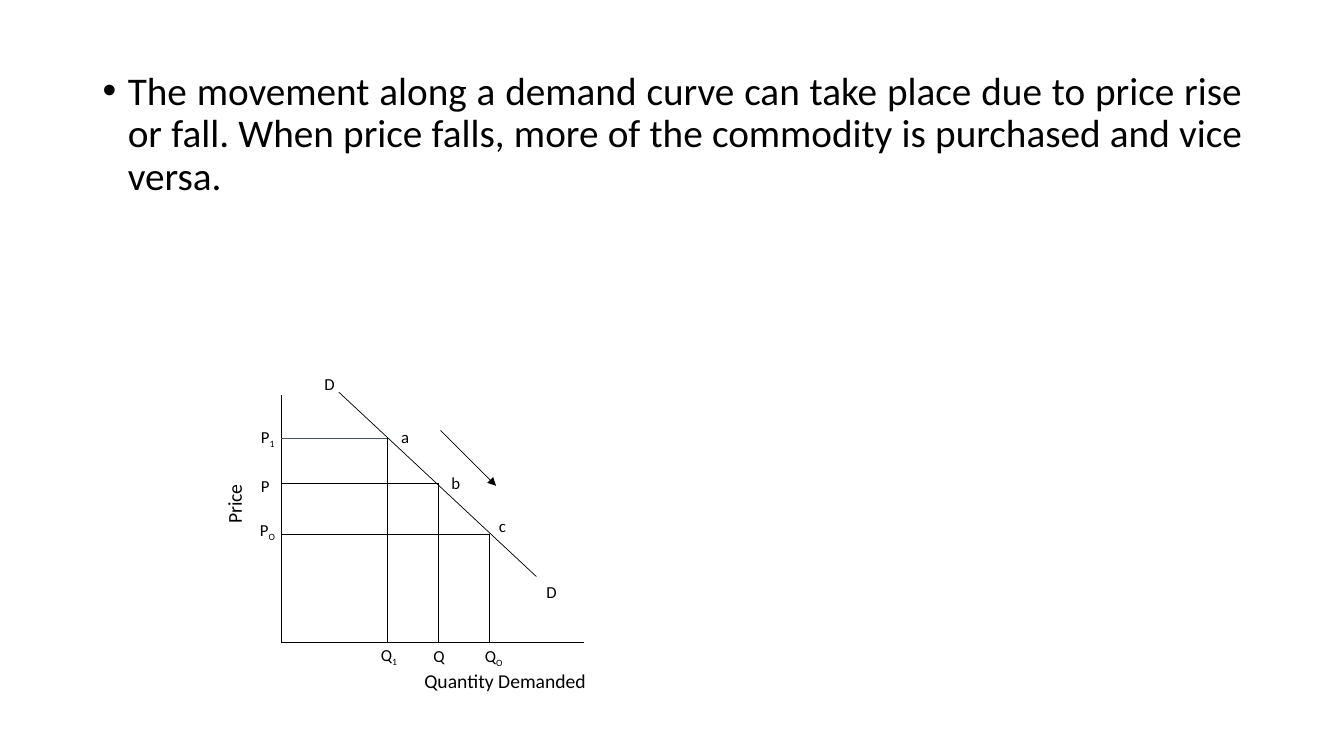
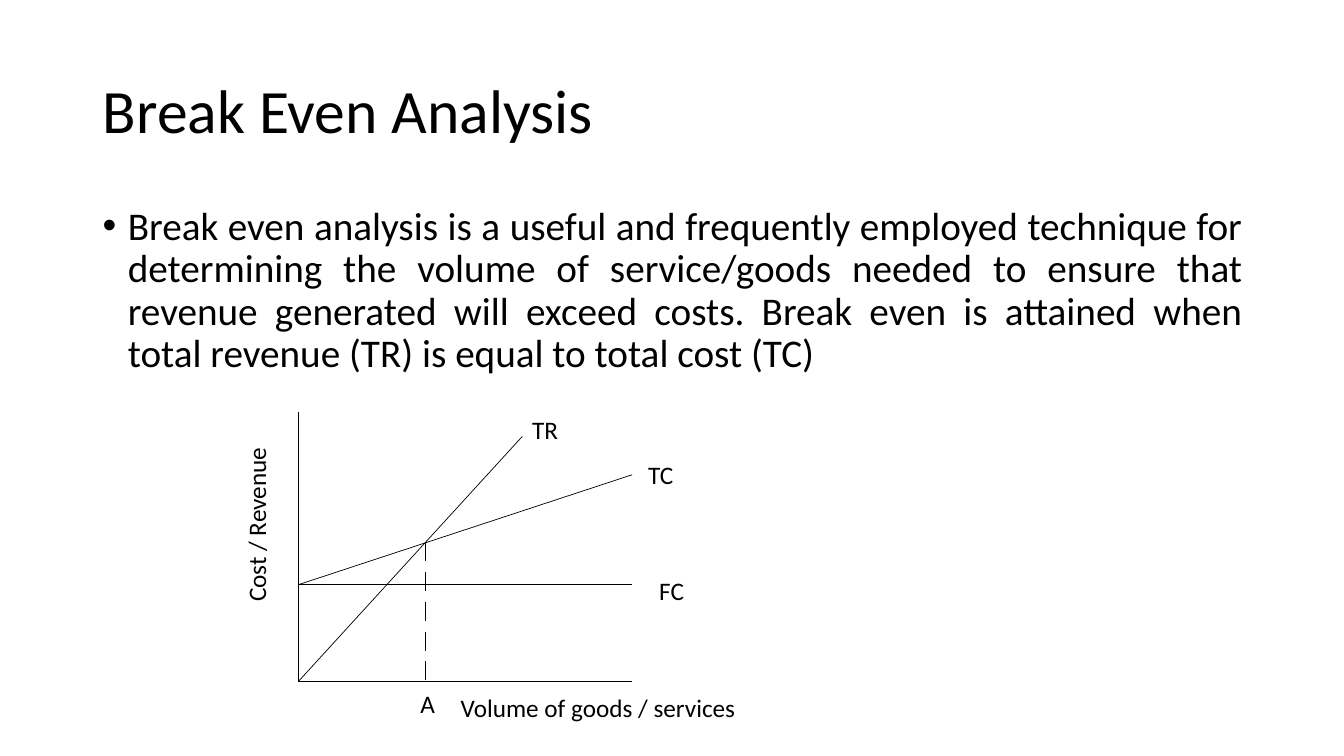
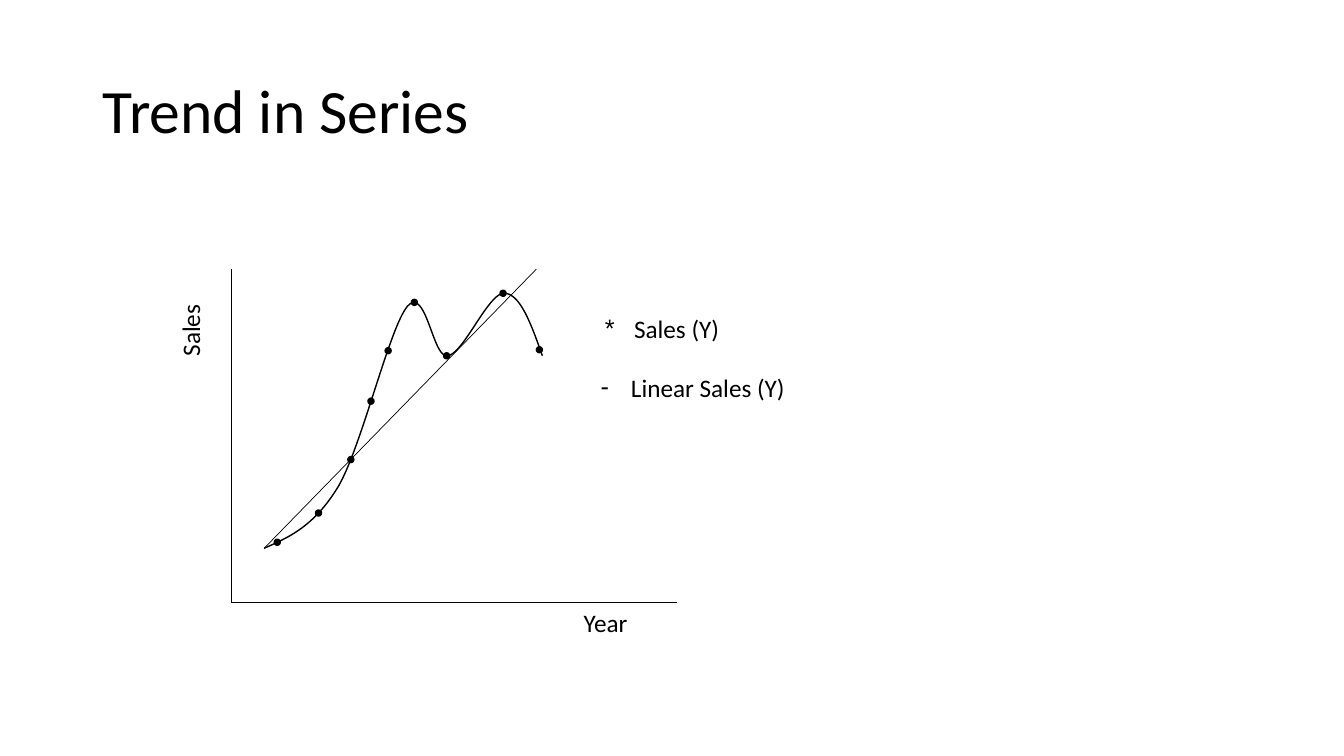
import pptx
import pptx.dml.color
import pptx.enum.shapes
import pptx.enum.text
import pptx.oxml
import pptx.oxml.ns
import pptx.util

Inches = pptx.util.Inches
Pt = pptx.util.Pt
ALIGN = pptx.enum.text.PP_ALIGN
ANCHOR = pptx.enum.text.MSO_ANCHOR
AUTO_SIZE = pptx.enum.text.MSO_AUTO_SIZE
RGB = pptx.dml.color.RGBColor.from_string

COLORS = {"ink": "000000", "slate": "44546A"}
FONT = "Calibri"
NS = pptx.oxml.ns.nsdecls("a")

TITLE_BOX = (0.92, 0.4, 11.5, 1.45)
TITLE_STYLE = dict(size=44, spacing=0.9, anchor=ANCHOR.MIDDLE)
BODY_STYLE = dict(size=28, align=ALIGN.JUSTIFY, spacing=0.9, before=10,
                  bullet="•", hanging=0.25)


def add_text(slide, text, box, holder=None, size=18, align=ALIGN.LEFT, anchor=ANCHOR.TOP,
             spacing=None, before=0, bullet=None, hanging=0, turn=0):
    """Write text into holder or a new text box; "_" sets what follows as subscript."""
    left, top, width, height = map(Inches, box)
    shape = holder or slide.shapes.add_textbox(left, top, width, height)
    shape.left, shape.top, shape.width, shape.height = left, top, width, height
    shape.rotation = turn
    frame = shape.text_frame
    frame.word_wrap = True
    frame.auto_size = AUTO_SIZE.NONE
    frame.vertical_anchor = anchor
    paragraph = frame.paragraphs[0]
    paragraph.alignment = align
    paragraph.space_before = Pt(before)
    if spacing:
        paragraph.line_spacing = spacing
    if bullet:
        properties = paragraph._p.get_or_add_pPr()
        properties.set("marL", str(Inches(hanging)))
        properties.set("indent", str(-Inches(hanging)))
        properties.append(pptx.oxml.parse_xml(f'<a:buFont {NS} typeface="Arial"/>'))
        properties.append(pptx.oxml.parse_xml(f'<a:buChar {NS} char="{bullet}"/>'))
    for position, part in enumerate(text.split("_")):
        run = paragraph.add_run()
        run.text = part
        run.font.name = FONT
        run.font.size = Pt(size)
        run.font.color.rgb = RGB(COLORS["ink"])
        if position:
            run.font._element.set("baseline", "-25000")


def draw_line(slide, start, end, color="ink", arrow=False):
    line = slide.shapes.add_connector(
        pptx.enum.shapes.MSO_CONNECTOR.STRAIGHT, *map(Inches, start + end))
    line.line.color.rgb = RGB(COLORS[color])
    line.line.width = Pt(0.5)
    if arrow:
        line.line._get_or_add_ln().append(
            pptx.oxml.parse_xml(f'<a:tailEnd {NS} type="triangle"/>'))
    line._element.spPr.append(pptx.oxml.parse_xml(f"<a:effectLst {NS}/>"))


deck = pptx.Presentation()
deck.slide_width, deck.slide_height = Inches(13.33), Inches(7.5)
title_only, blank = deck.slide_layouts[5], deck.slide_layouts[6]

# Movement along the demand curve
demand = deck.slides.add_slide(blank)
add_text(demand, "The movement along a demand curve can take place due to price rise or fall. "
         "When price falls, more of the commodity is purchased and vice versa.",
         (0.92, 0.66, 11.5, 5.69), **BODY_STYLE)

price_axis, quantity_axis = 2.79, 6.37
draw_line(demand, (price_axis, 3.92), (price_axis, quantity_axis))
draw_line(demand, (price_axis, quantity_axis), (5.79, quantity_axis))
draw_line(demand, (3.36, 3.89), (5.32, 5.72))
draw_line(demand, (4.37, 4.27), (4.92, 4.82), arrow=True)
for quantity, price, price_color in [(3.84, 4.35, "slate"), (4.35, 4.8, "ink"), (4.85, 5.3, "ink")]:
    draw_line(demand, (quantity, price), (quantity, quantity_axis))
    draw_line(demand, (quantity, price), (price_axis, price), color=price_color)

for label, left, top in [
    ("D", 3.12, 3.66), ("D", 5.32, 5.72),
    ("Q_1", 3.68, 6.35), ("Q", 4.2, 6.36), ("Q_O", 4.71, 6.36),
    ("P_1", 2.49, 4.18), ("P", 2.49, 4.67), ("P_O", 2.48, 5.11),
    ("a", 3.88, 4.18), ("b", 4.38, 4.64), ("c", 4.85, 5.07),
]:
    add_text(demand, label, (left, top, 0.46, 0.37), size=12)
add_text(demand, "Quantity Demanded", (4.11, 6.59, 2.35, 0.4), size=14)
add_text(demand, "Price", (2.02, 4.76, 0.67, 0.4), size=14, turn=270)

# Break even analysis
break_even = deck.slides.add_slide(title_only)
add_text(break_even, "Break Even Analysis", TITLE_BOX,
         holder=break_even.shapes.title, **TITLE_STYLE)
add_text(break_even, "Break even analysis is a useful and frequently employed technique for "
         "determining the volume of service/goods needed to ensure that revenue generated will "
         "exceed costs. Break even is attained when total revenue (TR) is equal to total cost (TC)",
         (0.92, 2, 11.5, 4.76), **BODY_STYLE)

cost_axis, volume_axis, fixed_cost, chart_right = 2.96, 6.76, 5.8, 6.27
for start, end in [
    ((cost_axis, 4.09), (cost_axis, volume_axis)),
    ((cost_axis, volume_axis), (chart_right, volume_axis)),
    ((cost_axis, volume_axis), (5.18, 4.33)),
    ((cost_axis, fixed_cost), (chart_right, 4.71)),
    ((cost_axis, fixed_cost), (chart_right, fixed_cost)),
]:
    draw_line(break_even, start, end)
for dash in range(5):
    dash_top = 5.38 + dash * 0.295
    draw_line(break_even, (4.22, dash_top), (4.22, dash_top + 0.19))

for label, left, top in [("TR", 5.18, 4.06), ("TC", 6.33, 4.51), ("FC", 6.44, 5.66), ("A", 4.07, 6.78)]:
    add_text(break_even, label, (left, top, 0.8, 0.5))
add_text(break_even, "Volume of goods / services", (4.47, 6.82, 3.22, 0.5))
add_text(break_even, "Cost / Revenue", (1.61, 4.84, 1.96, 0.5), turn=270)

# Trend in series
trend = deck.slides.add_slide(title_only)
add_text(trend, "Trend in Series", TITLE_BOX, holder=trend.shapes.title, **TITLE_STYLE)

sales_axis, year_axis = 2.29, 5.98
draw_line(trend, (sales_axis, 2.67), (sales_axis, year_axis))
draw_line(trend, (sales_axis, year_axis), (6.71, year_axis))
add_text(trend, "Year", (5.69, 5.98, 2.82, 0.5))
add_text(trend, "Sales", (1.23, 2.68, 1.41, 0.5), turn=270)

# Each cubic Bezier piece: two control points and an end point
curve_start = (2.62, 5.44)
curve_pieces = [
    ((2.87, 5.33), (3.12, 5.22), (3.36, 4.82)),
    ((3.59, 4.42), (3.86, 3.26), (4.04, 3.04)),
    ((4.23, 2.83), (4.29, 3.56), (4.44, 3.53)),
    ((4.6, 3.51), (4.84, 2.91), (5, 2.91)),
    ((5.16, 2.91), (5.27, 3.22), (5.38, 3.53)),
]
steps = 20
curve_points = []
piece_start = curve_start
for piece in curve_pieces:
    for step in range(1, steps + 1):
        t = step / steps
        weights = ((1 - t) ** 3, 3 * t * (1 - t) ** 2, 3 * t ** 2 * (1 - t), t ** 3)
        curve_points.append(tuple(
            Inches(sum(weight * value for weight, value in zip(weights, values)))
            for values in zip(piece_start, *piece)))
    piece_start = piece[-1]
builder = trend.shapes.build_freeform(*map(Inches, curve_start))
builder.add_line_segments(curve_points, close=False)
sales_curve = builder.convert_to_shape()
sales_curve.shadow.inherit = False
sales_curve.fill.background()
sales_curve.line.color.rgb = RGB(COLORS["ink"])
sales_curve.line.width = Pt(1)

dot_size = Inches(0.06)
for left, top in [(2.72, 5.35), (3.13, 5.06), (3.45, 4.53), (3.65, 3.95), (3.82, 3.45),
                  (4.08, 2.97), (4.4, 3.5), (4.96, 2.88), (5.32, 3.44)]:
    sales_dot = trend.shapes.add_shape(pptx.enum.shapes.MSO_SHAPE.OVAL,
                                       Inches(left), Inches(top), dot_size, dot_size)
    sales_dot.shadow.inherit = False
    sales_dot.fill.solid()
    sales_dot.fill.fore_color.rgb = RGB(COLORS["ink"])
    sales_dot.line.color.rgb = RGB(COLORS["ink"])
    sales_dot.line.width = Pt(1)

add_text(trend, "Sales (Y)", (5.9, 3.06, 2.82, 0.5), bullet="*", hanging=0.29)
add_text(trend, "Linear Sales (Y)", (5.86, 3.64, 2.1, 0.84), bullet="-", hanging=0.3)
draw_line(trend, curve_start, (5.32, 2.67))

deck.save("out.pptx")
